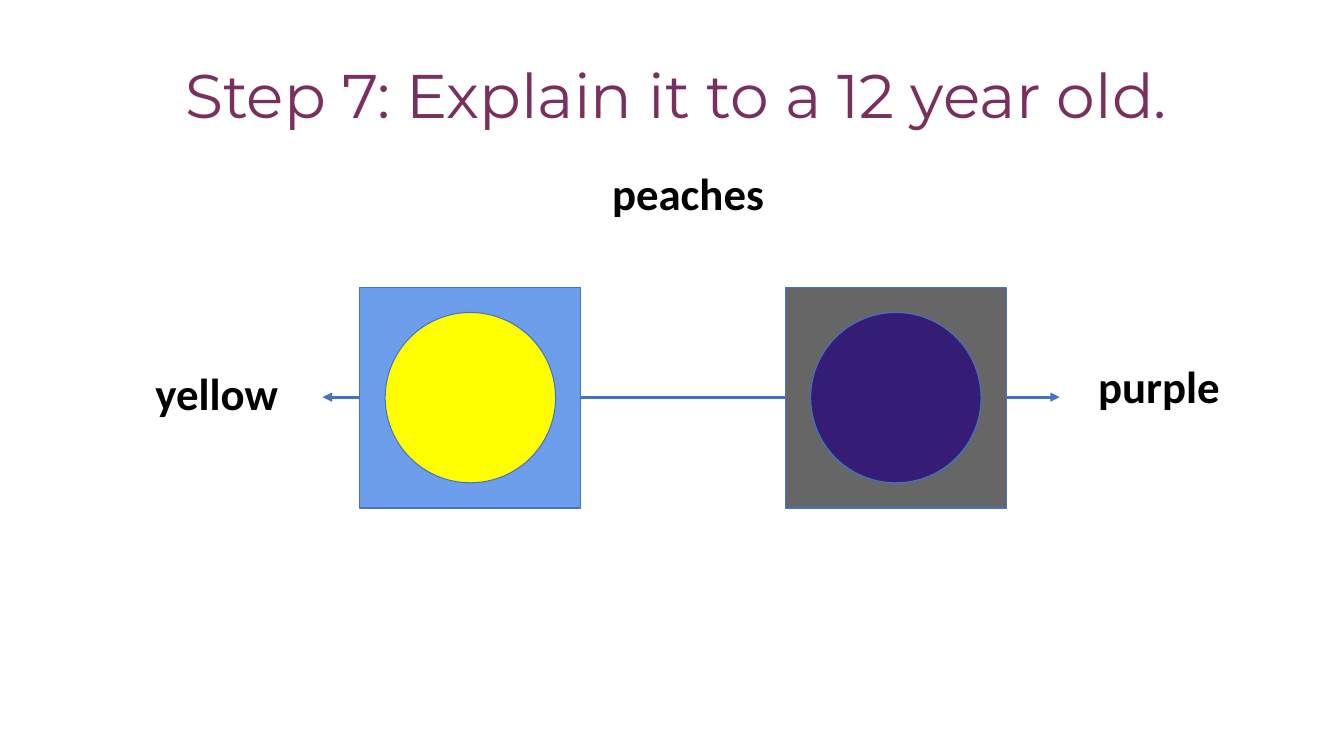
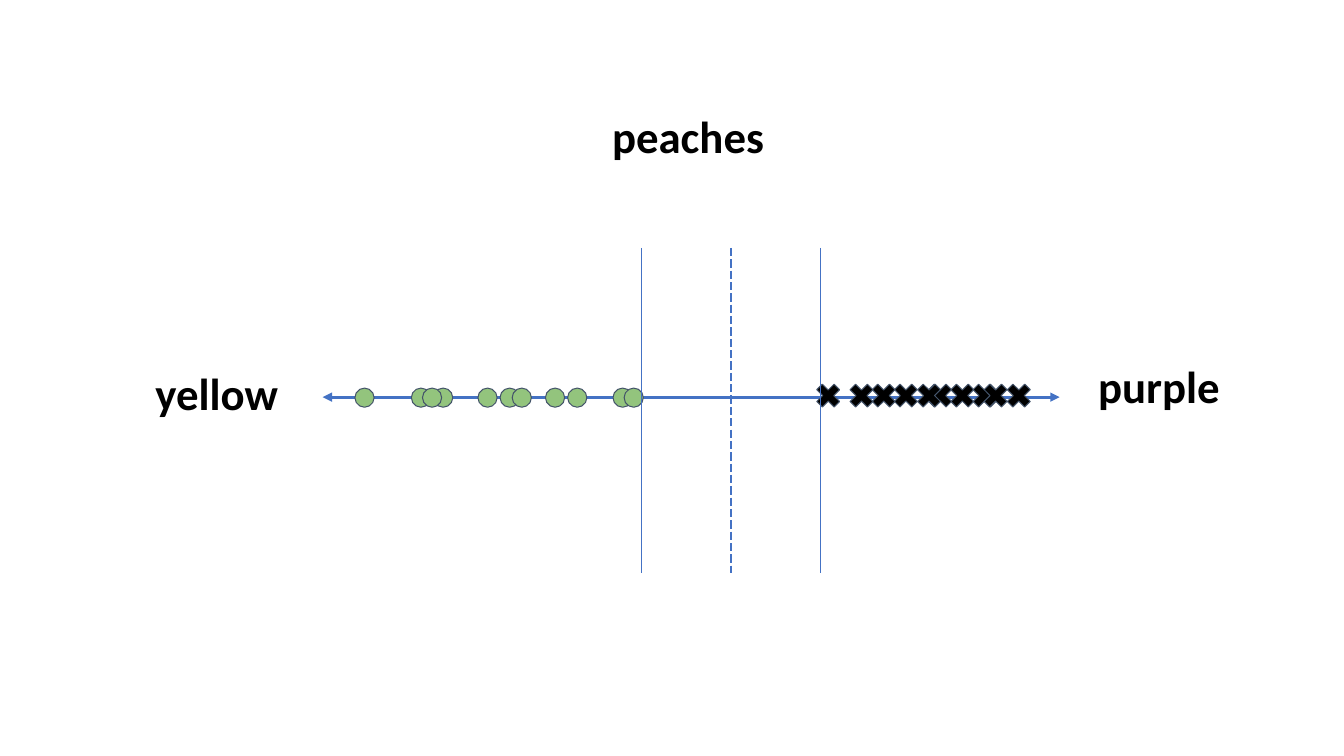
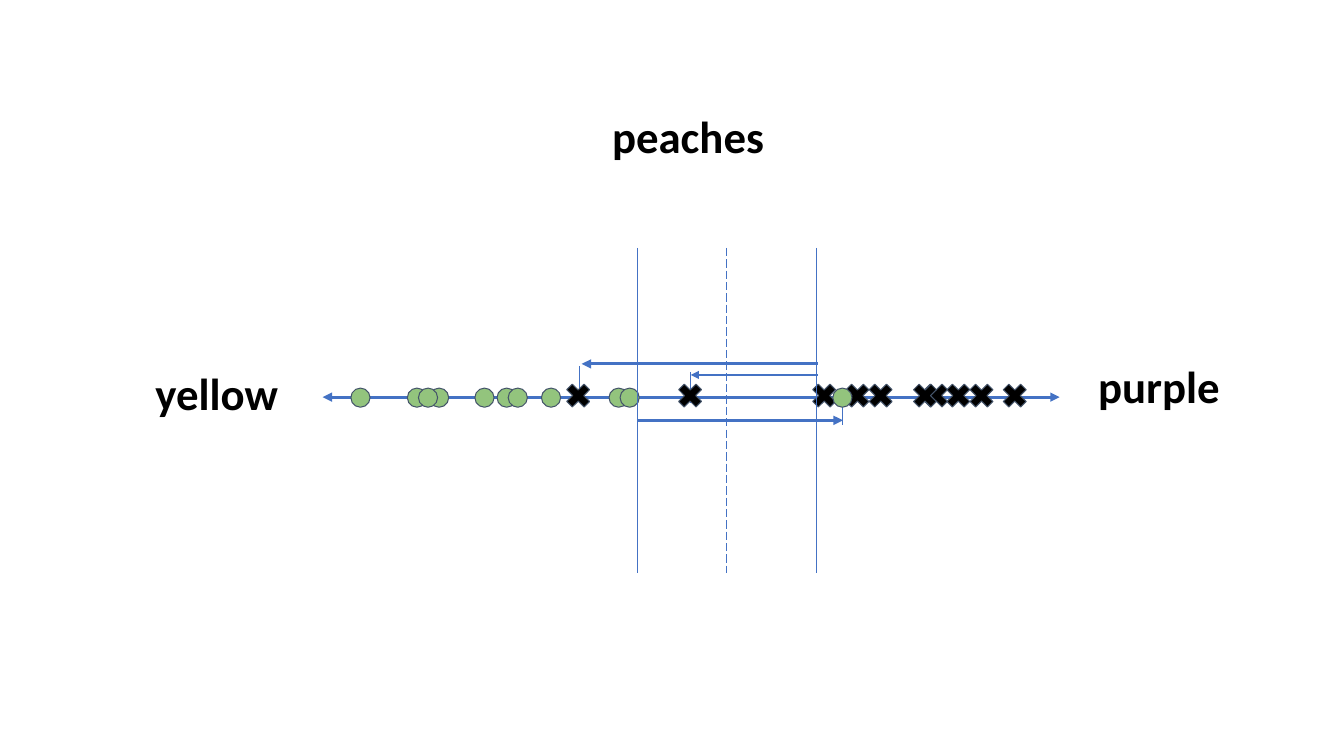
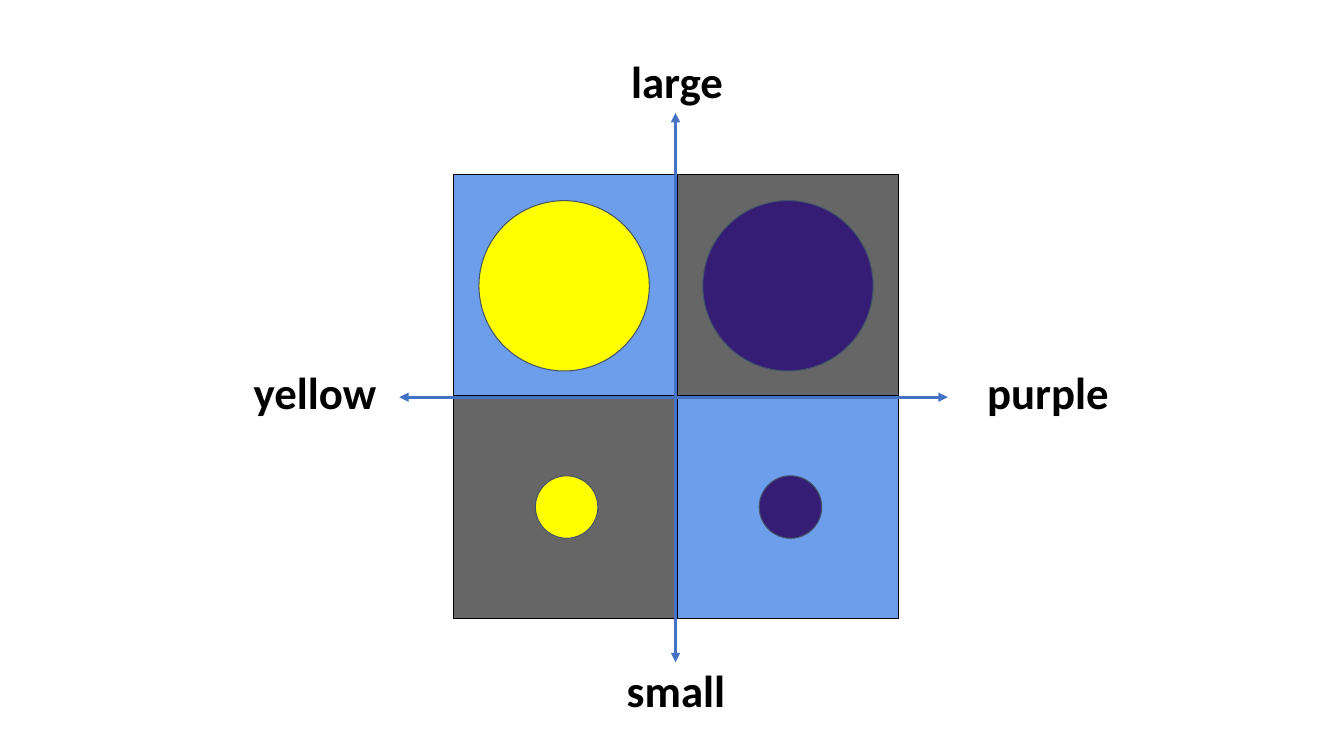
import pptx
import pptx.dml.color
import pptx.enum.dml
import pptx.enum.shapes
import pptx.enum.text
import pptx.oxml
import pptx.oxml.ns
import pptx.util

Inches = pptx.util.Inches
Pt = pptx.util.Pt
RGB = pptx.dml.color.RGBColor.from_string
SHAPE = pptx.enum.shapes.MSO_SHAPE
DASH = pptx.enum.dml.MSO_LINE
CENTER = pptx.enum.text.PP_ALIGN.CENTER


class Theme:
    title_color = RGB("79305D")
    black = RGB("000000")
    blue = RGB("4472C4")
    slate = RGB("44546A")
    gray = RGB("666666")
    sky = RGB("6D9EEB")
    yellow = RGB("FFFF00")
    purple = RGB("351C75")
    green = RGB("93C47D")
    title_font = {"name": "Montserrat", "size": Pt(44), "bold": False}
    label_font = {"name": "Calibri", "size": Pt(32), "bold": True}
    label_frame = {
        "word_wrap": True,
        "margin_left": Inches(0.13),
        "margin_right": Inches(0.13),
        "margin_top": Inches(0.13),
        "margin_bottom": Inches(0.13),
    }
    thin = 0.75
    medium = 1.5
    thick = 2.25


def draw_shape(slide, kind, left, top, size, fill, outline):
    """Draw a filled preset shape that is as wide as it is high."""
    shape = slide.shapes.add_shape(kind, Inches(left), Inches(top), Inches(size), Inches(size))
    shape.shadow.inherit = False
    shape.fill.solid()
    shape.fill.fore_color.rgb = fill
    shape.line.color.rgb = outline
    shape.line.width = Pt(Theme.thin)


def draw_line(slide, start, end, weight=Theme.thin, dash=None, arrows=()):
    """Draw a straight line; arrows holds headEnd, tailEnd or both, in that order."""
    line = slide.shapes.add_connector(
        pptx.enum.shapes.MSO_CONNECTOR.STRAIGHT, *map(Inches, start + end))
    line.line.color.rgb = Theme.blue
    line.line.width = Pt(weight)
    if dash:
        line.line.dash_style = dash
    properties = line._element.spPr
    outline = properties.find(pptx.oxml.ns.qn("a:ln"))
    for arrow in arrows:
        pptx.oxml.ns.qn("a:" + arrow)
        outline.append(pptx.oxml.parse_xml(
            f'<a:{arrow} {pptx.oxml.ns.nsdecls("a")} type="triangle"/>'))
    properties.append(pptx.oxml.parse_xml(f'<a:effectLst {pptx.oxml.ns.nsdecls("a")}/>'))


deck = pptx.Presentation()
deck.slide_width = Inches(13.33)
deck.slide_height = Inches(7.5)
title_only, blank = deck.slide_layouts[5], deck.slide_layouts[6]

BOTH_ENDS = ("headEnd", "tailEnd")
AXIS_Y = 3.94
LABEL_HEIGHT = 1.05
TILE = 2.19
LARGE, SMALL = 1.69, 0.62

# Slides and their labels: text, left, top, width
color_ends = [("yellow", 1.1, 3.5, 2.1), ("purple", 10.41, 3.43, 2.17)]
peach_labels = [("peaches", 5.57, 0.95, 2.51)] + color_ends
outline_of_deck = [
    (title_only, [("peaches", 5.57, 1.51, 2.51)] + color_ends),
    (blank, peach_labels),
    (blank, peach_labels),
    (blank, [("small", 5.79, 6.44, 1.83), ("large", 5.8, 0.4, 1.83),
             ("yellow", 2.21, 3.49, 1.83), ("purple", 9.48, 3.49, 1.83)]),
]
for layout, labels in outline_of_deck:
    slide = deck.slides.add_slide(layout)
    for text, left, top, width in labels:
        label = slide.shapes.add_textbox(
            Inches(left), Inches(top), Inches(width), Inches(LABEL_HEIGHT))
        for name, value in Theme.label_frame.items():
            setattr(label.text_frame, name, value)
        paragraph = label.text_frame.paragraphs[0]
        paragraph.text = text
        paragraph.alignment = CENTER
        for name, value in Theme.label_font.items():
            setattr(paragraph.font, name, value)
        paragraph.font.color.rgb = Theme.black
explain, separable, overlapping, quadrants = deck.slides

# Slide 1: two kinds of peach on one axis
title = explain.shapes.title
title_box = {"left": 0.43, "top": 0.51, "width": 12.56, "height": 0.84}
for name, value in title_box.items():
    setattr(title, name, Inches(value))
title.text_frame.text = "Step 7: Explain it to a 12 year old."
title.text_frame.auto_size = pptx.enum.text.MSO_AUTO_SIZE.NONE
title.text_frame.vertical_anchor = pptx.enum.text.MSO_ANCHOR.MIDDLE
heading = title.text_frame.paragraphs[0]
heading.alignment = CENTER
for name, value in Theme.title_font.items():
    setattr(heading.font, name, value)
heading.font.color.rgb = Theme.title_color

draw_line(explain, (3.2, AXIS_Y), (10.51, AXIS_Y), Theme.thick, arrows=BOTH_ENDS)
for left, tile_color, peach_color in [(7.79, Theme.gray, Theme.purple),
                                      (3.57, Theme.sky, Theme.yellow)]:
    draw_shape(explain, SHAPE.RECTANGLE, left, 2.85, TILE, tile_color, Theme.blue)
    draw_shape(explain, SHAPE.OVAL, left + 0.25, 3.1, LARGE, peach_color, Theme.blue)

# Slides 2 and 3: good and bad peaches along the axis, with the margin between them
for x, top in [(5.75, 3.63), (6.85, 3.69), (8.36, 3.91)]:
    draw_line(overlapping, (x, top), (x, top + 0.31))

peach_plots = [
    (separable, 7.25,
     [9.94, 9.38, 9.6, 9.71, 8.6, 8.82, 9.16, 8.05, 8.38, 9.05],
     [4.96, 5.08, 5.41, 5.63, 6.08, 6.19, 3.52, 4.08, 4.3, 4.74, 4.19]),
    (overlapping, 7.21,
     [9.9, 9.34, 9.57, 6.68, 8.57, 5.57, 9.12, 8.01, 8.34, 9.01],
     [4.93, 5.04, 5.37, 8.26, 6.04, 6.15, 3.48, 4.04, 4.26, 4.71, 4.15]),
]
for slide, boundary, crosses, dots in peach_plots:
    draw_line(slide, (3.2, AXIS_Y), (10.51, AXIS_Y), Theme.thick, arrows=BOTH_ENDS)
    for left in crosses:
        draw_shape(slide, SHAPE.MATH_MULTIPLY, left, 3.76, 0.33, Theme.black, Theme.slate)
    for left in dots:
        draw_shape(slide, SHAPE.OVAL, left, 3.85, 0.19, Theme.green, Theme.slate)
    for offset, dash in [(0, DASH.LONG_DASH), (0.89, None), (-0.89, None)]:
        x = boundary + offset
        draw_line(slide, (x, 2.46), (x, 5.68), dash=dash)

for start, end, y, weight in [(8.11, 6.85, 3.72, Theme.medium),
                              (8.11, 5.77, 3.61, Theme.thick),
                              (6.32, 8.36, 4.17, Theme.thick)]:
    draw_line(overlapping, (start, y), (end, y), weight, arrows=("tailEnd",))

# Slide 4: colour against size
columns = [(6.72, Theme.purple), (4.5, Theme.yellow)]
rows = [(1.73, LARGE, 0.25, 0.26), (3.95, SMALL, 0.81, 0.77)]
tile_colors = [Theme.gray, Theme.sky]
for row, (top, *_) in enumerate(rows):
    for column, (left, _) in enumerate(columns):
        draw_shape(quadrants, SHAPE.RECTANGLE, left, top, TILE,
                   tile_colors[(row + column) % 2], Theme.black)
for start, end in [((6.7, 6.57), (6.7, 1.12)), ((9.4, AXIS_Y), (3.96, AXIS_Y))]:
    draw_line(quadrants, start, end, Theme.thick, arrows=BOTH_ENDS)
for left, peach_color in columns:
    for top, size, inset_x, inset_y in rows:
        draw_shape(quadrants, SHAPE.OVAL, left + inset_x, top + inset_y, size,
                   peach_color, Theme.slate)

deck.save("out.pptx")
